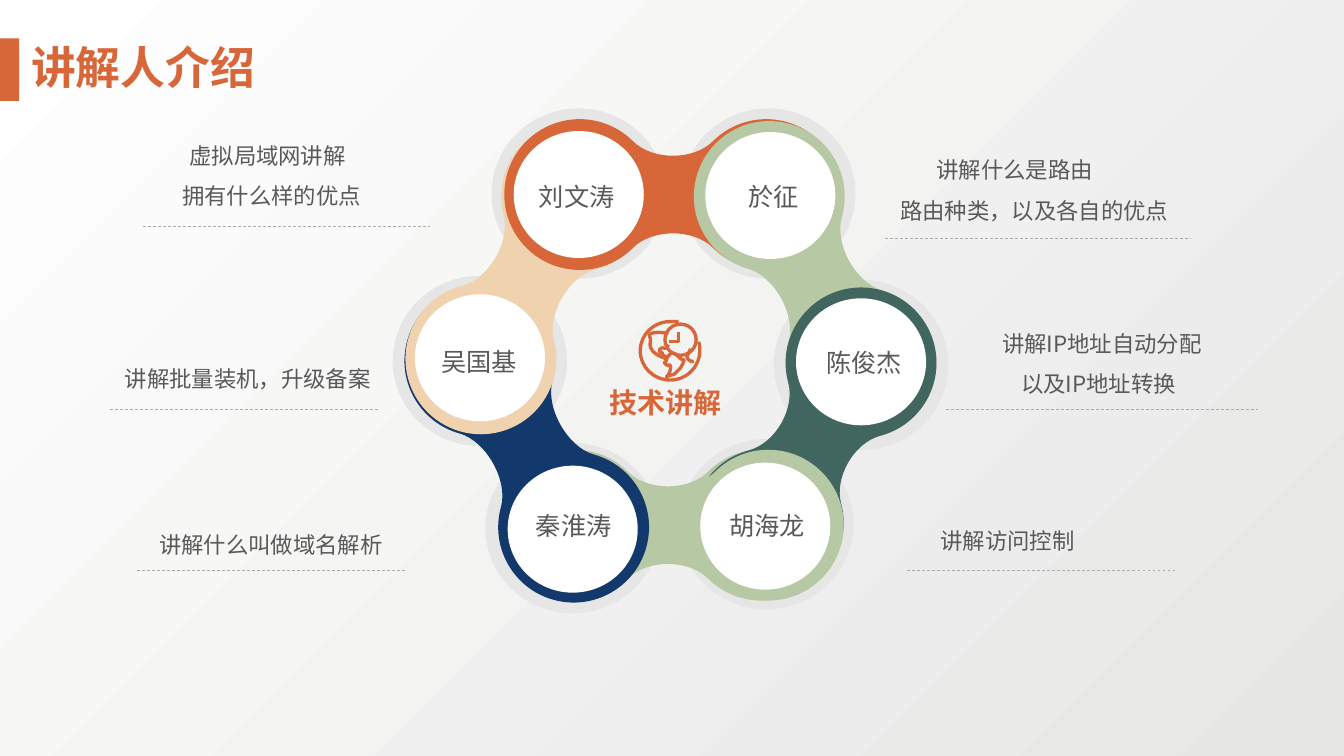
import math

import pptx
import pptx.dml.color
import pptx.enum.dml
import pptx.enum.shapes
import pptx.enum.text
import pptx.oxml.ns
import pptx.util
from lxml import etree

WIDTH = pptx.util.Inches(13.33)
HEIGHT = pptx.util.Inches(7.5)
CELL = HEIGHT / 75
FONT = "Noto Sans CJK SC"
COLORS = {
    "orange": "D76739", "green": "B7C8A5", "teal": "416660", "navy": "13396C",
    "peach": "F0D2AF", "halo": "E7E6E6", "white": "FFFFFF", "shade": "E6E6E5",
    "text": "595959", "rule": "AFABAB",
}
LEFT = pptx.enum.text.PP_ALIGN.LEFT
CENTER = pptx.enum.text.PP_ALIGN.CENTER

HALO_SIZE = (17.3, 16.9)
FACE_SIZE = (12.9, 12.6)
SPEAKERS = [
    ("吴国基", (47.6, 35.8), (47.6, 35.5), (47.5, 36)),
    ("秦淮涛", (56.8, 52.4), (56.8, 52.5), (56.9, 52.2)),
    ("胡海龙", (76, 52), (75.9, 52.2), (76.1, 52.2)),
    ("陈俊杰", (85.4, 36.2), (85.4, 35.9), (85.7, 36.1)),
    ("於征", (76.2, 19.2), (76.4, 19.4), (76.7, 19.6)),
    ("刘文涛", (57.4, 19.2), (57.4, 19.3), (57.2, 19.6)),
]
LINKS = [
    ((57, 52.1), (75.5, 52.1), "green", False),
    ((47.6, 35.8), (56.9, 52.3), "navy", False),
    ((47.7, 35.6), (57.2, 19.5), "peach", False),
    ((57.5, 19.3), (76, 19.3), "orange", False),
    ((76.3, 19.5), (85.4, 36), "green", False),
    ((85.4, 36), (76.2, 51.9), "teal", False),
    ((57.7, 52.1), (76.2, 52.1), "green", True),
]
CAPTIONS = [
    (17.1, 12.3, 23.8, [("虚拟局域网讲解", 0.7), ("拥有什么样的优点", 0)]),
    (88.3, 13.7, 29.9, [("讲解什么是路由", 3.6), ("路由种类，以及各自的优点", 0)]),
    (89.6, 50.5, 25.4, [("讲解访问控制", 2.7)]),
    (11, 34.4, 28.5, [("讲解批量装机，升级备案", 0.4)]),
    (96.8, 30.9, 26.2, [("讲解IP地址自动分配", 1.6), ("以及IP地址转换", 3.5)]),
    (14.4, 50.9, 26, [("讲解什么叫做域名解析", 0.4)]),
]
RULES = [
    (87.8, 118.1, 23.6), (14.2, 42.7, 22.5), (90, 116.6, 56.6),
    (10.9, 37.6, 40.6), (13.6, 40.2, 56.6), (93.8, 124.8, 40.6),
]
GLOBE_STROKES = [
    [(67.3, 31.9), (67, 31.9), (66.7, 31.9), (66.5, 31.9), (64.8, 31.9), (63.5, 33.2),
     (63.5, 34.8), (63.5, 36.4), (64.8, 37.7), (66.5, 37.7), (68.1, 37.7), (69.4, 36.4),
     (69.4, 34.8), (69.4, 34.5), (69.4, 34.2), (69.3, 33.9)],
    [(66.3, 33.1), (66.1, 33), (65.8, 33), (65.6, 33), (65.1, 32.9), (64.2, 33.1),
     (64.4, 33.3), (64.6, 33.5), (64.5, 33.8), (64.5, 33.9), (64.4, 34.3), (64.5, 34.8),
     (65.2, 35.2), (65.9, 35.6), (66, 35.5), (66.1, 35.6), (66.2, 35.6), (66, 35.6),
     (66, 35.4), (66, 35.3), (65.9, 35.3), (65.8, 35.3), (65.7, 35.3), (65.7, 35.1),
     (65.7, 35), (65.7, 34.9), (65.6, 35.1), (65.4, 34.9), (65.3, 34.7), (65.5, 34.5),
     (65.7, 34.5), (66.1, 34.7), (66.2, 34.4), (66.3, 34.2)],
    [(66.1, 35.8), (66, 36.1), (65.7, 35.8), (66.1, 36.2), (66.4, 36.5), (66.5, 35.8),
     (66.5, 36.6), (66.4, 37.4), (65.8, 37.5), (66.3, 37.3), (66.8, 37.1), (66.8, 37.3),
     (67.1, 36.9), (67.6, 36.5), (67.6, 36.3), (67.8, 35.9), (68, 35.6), (67.7, 35.8),
     (67.4, 35.5), (67.2, 35.3), (66.8, 34.8), (66.5, 35.1), (66.1, 35.4), (66.1, 35.8),
     (66.1, 35.8)],
    [(68.5, 34.6), (68.5, 34.7), (68.5, 34.7), (68.4, 34.8), (68.3, 35.1), (67.9, 35.5),
     (68.3, 35.7), (68.7, 36), (68.8, 35.8), (68.8, 35.8)],
]


def cells(*lengths):
    return [round(length * CELL) for length in lengths]


def color(name):
    return pptx.dml.color.RGBColor.from_string(COLORS[name])


def paint(shape, name):
    shape.shadow.inherit = False
    shape.fill.solid()
    shape.fill.fore_color.rgb = color(name)
    shape.line.fill.background()


def stroke(shape, name, width):
    shape.line.color.rgb = color(name)
    shape.line.width = pptx.util.Pt(width)


def add_disc(slide, center, size, name):
    box = cells(center[0] - size[0] / 2, center[1] - size[1] / 2, *size)
    disc = slide.shapes.add_shape(pptx.enum.shapes.MSO_SHAPE.OVAL, *box)
    paint(disc, name)
    return disc


def add_curved_outline(slide, knots, close):
    corners = [cells(*knot) for knot in knots]
    builder = slide.shapes.build_freeform(*corners[0], scale=1.0)
    builder.add_line_segments(corners[1:], close=close)
    outline = builder.convert_to_shape()
    outline.shadow.inherit = False
    segments = list(outline._element.iter(pptx.oxml.ns.qn("a:lnTo")))
    for first in range(0, len(segments), 3):
        bezier = etree.Element(pptx.oxml.ns.qn("a:cubicBezTo"))
        segments[first].addprevious(bezier)
        for segment in segments[first:first + 3]:
            bezier.append(segment[0])
            segment.getparent().remove(segment)
    return outline


def three_quarter_arc(center, radius, start):
    handle = radius * 0.5523
    knots = []
    for degree in (start, start - 90, start - 180):
        angle = math.radians(degree)
        x, y = math.cos(angle), math.sin(angle)
        knots += [(center + radius * x + handle * y, radius * y - handle * x),
                  (center + radius * y + handle * x, -radius * x + handle * y),
                  (center + radius * y, -radius * x)]
    return knots


def add_link(slide, start, end, name, end_half_only, radius=7.48, neck=3.85):
    length = math.dist(start, end)
    shoulder = radius * math.sqrt(0.5)
    drop = (shoulder - neck) / 0.75
    far = length - shoulder
    upper = [(shoulder, shoulder), (shoulder + drop, shoulder - drop),
             (far - drop, shoulder - drop), (far, shoulder)]
    if end_half_only:
        near_neck = (upper[1][0] + 2 * upper[2][0] + far) / 4
        upper = [(length / 2, neck), (near_neck, neck),
                 (far - drop / 2, shoulder - drop / 2), (far, shoulder)]
    lower = [(u, -v) for u, v in reversed(upper)]
    knots = upper + three_quarter_arc(length, radius, 135) + lower[1:]
    if not end_half_only:
        knots += three_quarter_arc(0, radius, -45)
    along = ((end[0] - start[0]) / length, (end[1] - start[1]) / length)
    placed = [(start[0] + u * along[0] - v * along[1], start[1] + u * along[1] + v * along[0])
              for u, v in knots]
    paint(add_curved_outline(slide, placed, True), name)


def add_line(slide, start, end, name, width):
    line = slide.shapes.add_connector(pptx.enum.shapes.MSO_CONNECTOR.STRAIGHT,
                                      *cells(*start, *end))
    stroke(line, name, width)
    etree.SubElement(line._element.spPr, pptx.oxml.ns.qn("a:effectLst"))
    return line


def write(shape, lines, size, name, bold=False, align=LEFT, spacing=1.0):
    frame = shape.text_frame
    frame.word_wrap = False
    frame.auto_size = pptx.enum.text.MSO_AUTO_SIZE.NONE
    frame.vertical_anchor = pptx.enum.text.MSO_ANCHOR.TOP
    frame.text = "\n".join(text for text, indent in lines)
    for paragraph, (text, indent) in zip(frame.paragraphs, lines):
        paragraph.alignment = align
        paragraph.line_spacing = spacing
        paragraph._p.get_or_add_pPr().set("marL", str(cells(indent)[0]))
        for run in paragraph.runs:
            run.font.name = FONT
            run.font.size = pptx.util.Pt(size)
            run.font.bold = bold
            run.font.color.rgb = color(name)
            east_asian = etree.SubElement(run._r.rPr, pptx.oxml.ns.qn("a:ea"))
            east_asian.set("typeface", FONT)


def add_text(slide, box, lines, size, name, **style):
    write(slide.shapes.add_textbox(*cells(*box)), lines, size, name, **style)


def add_title(slide, text):
    bar = slide.shapes.add_shape(pptx.enum.shapes.MSO_SHAPE.RECTANGLE, *cells(0, 3.8, 1.9, 6.2))
    paint(bar, "orange")
    title = slide.shapes.title
    title.left, title.top, title.width, title.height = cells(1.9, 3.4, 24.6, 6.7)
    write(title, [(text, 0)], 32, "orange", bold=True, align=CENTER)


def add_globe(slide):
    outlines = [add_disc(slide, (67.5, 33.7), (3.1, 3.1), "white")]
    outlines += [add_curved_outline(slide, knots, False) for knots in GLOBE_STROKES]
    for outline in outlines:
        outline.fill.background()
        stroke(outline, "orange", 2.38)
    for hand_end in [(66.4, 33.9), (67.3, 32.9)]:
        add_line(slide, hand_end, (67.3, 33.9), "orange", 2.38)


def set_background(slide):
    fill = slide.background.fill
    fill.gradient()
    fill.gradient_angle = 135
    for stop, name in zip(fill.gradient_stops, ("shade", "white")):
        stop.color.rgb = color(name)


def main():
    presentation = pptx.Presentation()
    presentation.slide_width, presentation.slide_height = WIDTH, HEIGHT
    slide = presentation.slides.add_slide(presentation.slide_layouts.get_by_name("Title Only"))
    set_background(slide)
    add_title(slide, "讲解人介绍")
    for speaker, halo, face, label in SPEAKERS:
        add_disc(slide, halo, HALO_SIZE, "halo")
    for link in LINKS:
        add_link(slide, *link)
    for speaker, halo, face, label in SPEAKERS:
        add_disc(slide, face, FACE_SIZE, "white")
        add_text(slide, (label[0] - 6.1, label[1] - 2.1, 12.2, 4.2), [(speaker, 0)],
                 18, "text", align=CENTER)
    add_text(slide, (59.5, 37.8, 16, 4.6), [("技术讲解", 0)], 20, "orange", bold=True)
    add_globe(slide)
    for left, right, row in RULES:
        rule = add_line(slide, (left, row), (right, row), "rule", 0.5)
        rule.line.dash_style = pptx.enum.dml.MSO_LINE.DASH
    for left, top, width, lines in CAPTIONS:
        add_text(slide, (left, top, width, 1 + 4 * len(lines)), lines, 16, "text", spacing=1.5)
    presentation.save("out.pptx")


if __name__ == "__main__":
    main()
